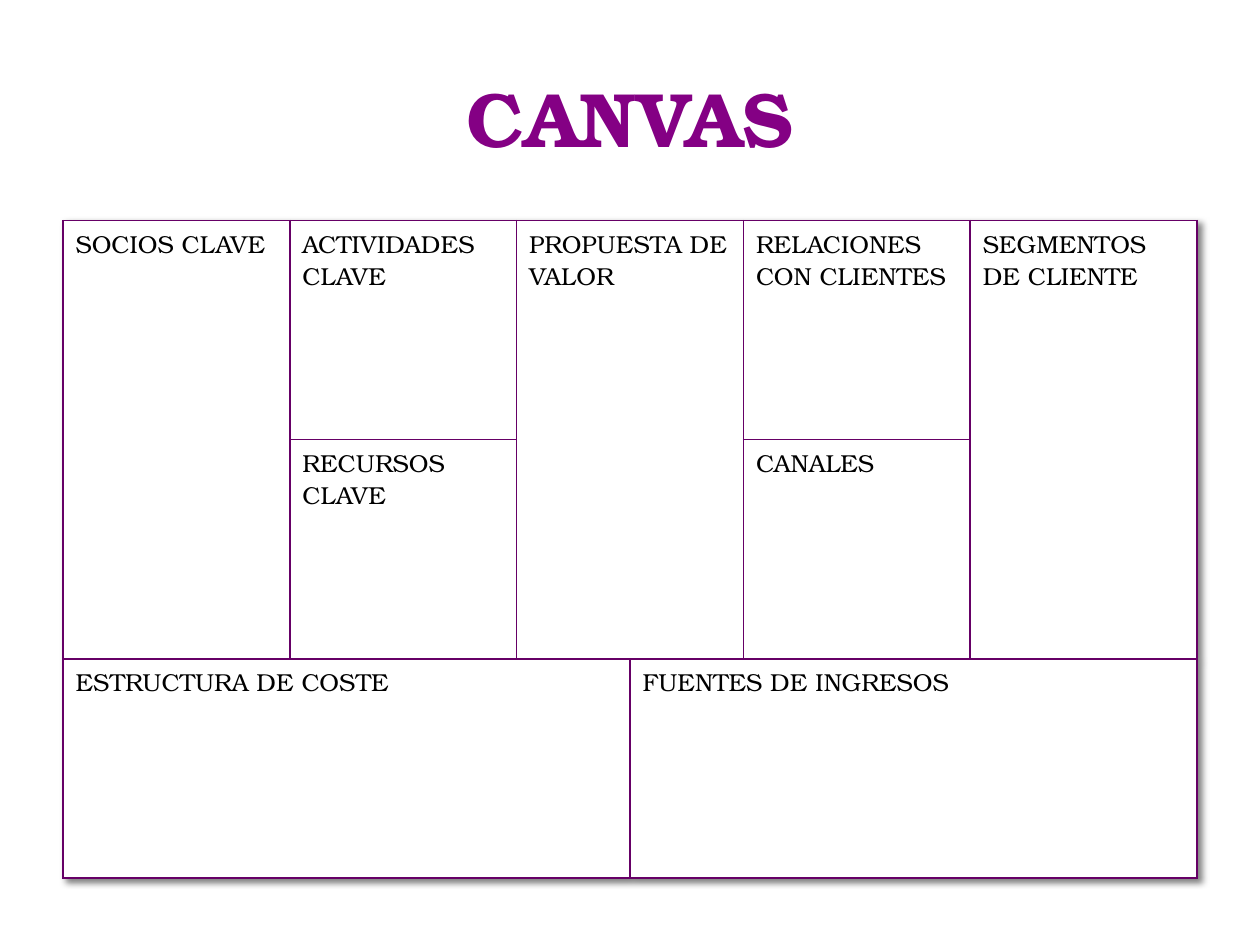
from lxml.etree import SubElement
from pptx import Presentation
from pptx.dml.color import RGBColor
from pptx.enum.text import MSO_ANCHOR as Anchor, PP_ALIGN as Align
from pptx.oxml import parse_xml
from pptx.oxml.ns import nsdecls, qn
from pptx.util import Inches, Pt

FONT = "TeX Gyre Bonum"
COLUMN_WIDTHS = [1.8, 1.8, 0.9, 0.9, 1.8, 1.8]
ROW_HEIGHT = 1.74
ROW_COUNT = 3

# text, row, column, rows spanned, columns spanned
BLOCKS = [
    ("SOCIOS CLAVE", 0, 0, 2, 1),
    ("ACTIVIDADES CLAVE", 0, 1, 1, 1),
    ("PROPUESTA DE VALOR", 0, 2, 2, 2),
    ("RELACIONES CON CLIENTES", 0, 4, 1, 1),
    ("SEGMENTOS DE CLIENTE", 0, 5, 2, 1),
    ("RECURSOS CLAVE", 1, 1, 1, 1),
    ("CANALES", 1, 4, 1, 1),
    ("ESTRUCTURA DE COSTE", 2, 0, 1, 3),
    ("FUENTES DE INGRESOS", 2, 3, 1, 3),
]


def color(value):
    return RGBColor.from_string(value)


def add_line(parent, tag, value, width):
    line = SubElement(parent, qn(tag), w=str(Pt(width)))
    fill = SubElement(line, qn("a:solidFill"))
    SubElement(fill, qn("a:srgbClr"), val=value)


def write_text(text_frame, text, font_color, **font_values):
    paragraph = text_frame.paragraphs[0]
    run = paragraph.add_run()
    run.text = text
    for name, value in {"name": FONT, **font_values}.items():
        setattr(run.font, name, value)
    run.font.color.rgb = color(font_color)
    return paragraph, run


def set_title(slide, text):
    title = slide.shapes.title
    box = {"left": 0.5, "top": 0.3, "width": 9, "height": 1.25}
    for name, value in box.items():
        setattr(title, name, Inches(value))
    frame = title.text_frame
    frame.vertical_anchor = Anchor.MIDDLE
    paragraph, run = write_text(frame, text, "840084", size=Pt(44), bold=True)
    paragraph.alignment = Align.CENTER
    properties = run.font._element
    add_line(properties, "a:ln", "330033", 1.42)
    properties.insert(0, properties[-1])


def format_cell(cell):
    properties = cell._tc.get_or_add_tcPr()
    for side in "LRTB":
        add_line(properties, f"a:ln{side}", "660066", 1)
    cell.fill.solid()
    cell.fill.fore_color.rgb = color("FFFFFF")


def add_table_shadow(table):
    shadow = parse_xml(
        f'<a:effectLst {nsdecls("a")}>'
        '<a:outerShdw blurRad="50800" dist="38100" dir="2700000" algn="tl" rotWithShape="0">'
        '<a:srgbClr val="000000"><a:alpha val="50000"/></a:srgbClr>'
        "</a:outerShdw></a:effectLst>"
    )
    table._tbl.tblPr.insert(0, shadow)


def add_canvas_table(slide):
    table = slide.shapes.add_table(
        ROW_COUNT, len(COLUMN_WIDTHS), Inches(0.5), Inches(1.75),
        Inches(sum(COLUMN_WIDTHS)), Inches(ROW_HEIGHT * ROW_COUNT),
    ).table
    table.first_row = table.horz_banding = False
    for column, width in zip(table.columns, COLUMN_WIDTHS):
        column.width = Inches(width)
    for row in table.rows:
        row.height = Inches(ROW_HEIGHT)
    for cell in table.iter_cells():
        format_cell(cell)
    for text, row, column, row_span, column_span in BLOCKS:
        cell = table.cell(row, column)
        if row_span > 1 or column_span > 1:
            cell.merge(table.cell(row + row_span - 1, column + column_span - 1))
        write_text(cell.text_frame, text, "000000", size=Pt(14))
    add_table_shadow(table)


def main():
    presentation = Presentation()
    presentation.slide_width = Inches(10)
    presentation.slide_height = Inches(7.5)
    slide = presentation.slides.add_slide(presentation.slide_layouts[5])
    set_title(slide, "CANVAS")
    add_canvas_table(slide)
    presentation.save("out.pptx")


if __name__ == "__main__":
    main()
